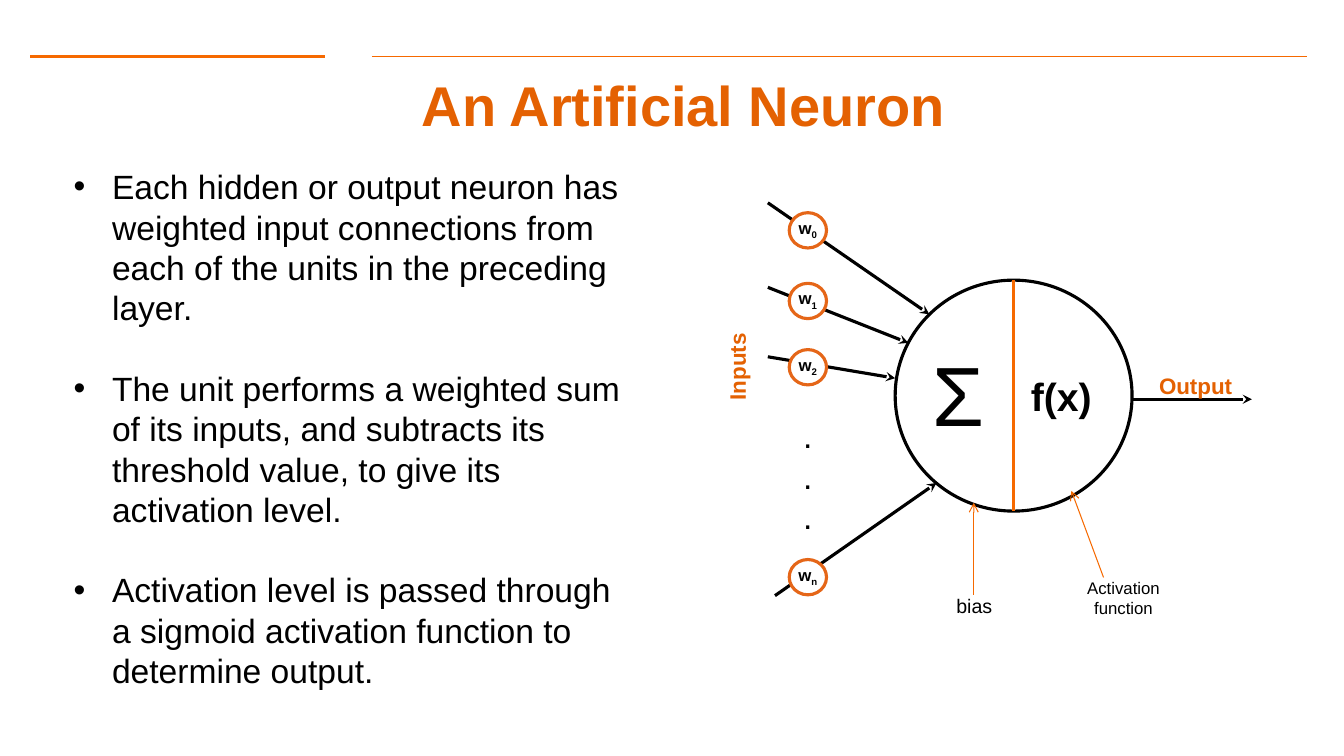
from dataclasses import dataclass

from lxml.etree import SubElement
from pptx import Presentation
from pptx.dml.color import RGBColor as Rgb
from pptx.enum.shapes import MSO_CONNECTOR as Link, MSO_SHAPE as Form
from pptx.enum.text import MSO_ANCHOR as Anchor, MSO_AUTO_SIZE as Auto, PP_ALIGN as Align
from pptx.oxml.ns import qn
from pptx.util import Cm, Pt


@dataclass(frozen=True)
class Theme:
    """Colours, font and type sizes of the slide."""
    black: str = "000000"
    white: str = "FFFFFF"
    accent: str = "F66900"
    head: str = "E46102"
    ring: str = "E56618"
    font: str = "Arial"
    title: int = 40
    body: int = 24
    sum: int = 60
    func: int = 28
    flow: int = 16
    note: int = 14
    small: int = 12
    lead: float = 1.2


THEME = Theme()

POINTS = [
    "Each hidden or output neuron has weighted input connections from each of the units "
    "in the preceding layer.",
    "The unit performs a weighted sum of its inputs, and subtracts its threshold value, "
    "to give its activation level.",
    "Activation level is passed through a sigmoid activation function to determine output.",
]

INPUTS = [
    ("0", 5.36, (19.35, 5.11), (23.42, 7.92)),
    ("1", 7.14, (19.35, 7.24), (22.89, 8.64)),
    ("2", 8.81, (19.35, 8.99), (22.56, 9.53)),
    ("n", 14.1, (19.53, 15.01), (23.6, 12.17)),
]


def place(shape, box):
    """Move a shape to left, top, width, height in centimetres."""
    shape.left, shape.top, shape.width, shape.height = map(Cm, box)


def style(frame, size, color=THEME.black, bold=False, align=Align.LEFT):
    """Format every paragraph and run of a text frame."""
    for para in frame.paragraphs:
        para.alignment = align
        para.line_spacing = Pt(size * THEME.lead)
        para.space_before = para.space_after = Pt(0)
        for run in para.runs:
            run.font.name, run.font.size, run.font.bold = THEME.font, Pt(size), bold
            run.font.color.rgb = Rgb.from_string(color)


def pad(frame, inset):
    """Give a text frame equal insets in centimetres."""
    frame.margin_left = frame.margin_right = Cm(inset)
    frame.margin_top = frame.margin_bottom = Cm(inset)


def line(slide, start, end, color, width, tip=None):
    """Draw a line, with an arrowhead at its end if tip is given."""
    link = slide.shapes.add_connector(Link.STRAIGHT, *map(Cm, (*start, *end)))
    link.line.color.rgb = Rgb.from_string(color)
    link.line.width = Pt(width)
    props = link._element.spPr
    if tip:
        SubElement(props.find(qn("a:ln")), qn("a:tailEnd"), type=tip)
    SubElement(props, qn("a:effectLst"))


def oval(slide, box, color, fill=None):
    """Draw an outlined ellipse."""
    shape = slide.shapes.add_shape(Form.OVAL, *map(Cm, box))
    shape.shadow.inherit = False
    shape.line.color.rgb = Rgb.from_string(color)
    shape.line.width = Pt(2.25)
    if fill:
        shape.fill.solid()
        shape.fill.fore_color.rgb = Rgb.from_string(fill)
    else:
        shape.fill.background()
    return shape


def label(slide, text, box, size, wrap=False, **look):
    """Add a text box with one style."""
    shape = slide.shapes.add_textbox(*map(Cm, box))
    frame = shape.text_frame
    frame.text = text
    frame.word_wrap = wrap
    style(frame, size, **look)
    return shape


def weight(slide, index, top):
    """Draw a weight circle with its subscript."""
    frame = oval(slide, (19.89, top, 0.94, 0.89), THEME.ring, THEME.white).text_frame
    frame.text = "w"
    sub = frame.paragraphs[0].add_run()
    sub.text = index
    frame.word_wrap = False
    frame.vertical_anchor = Anchor.MIDDLE
    pad(frame, 0)
    style(frame, THEME.small, bold=True, align=Align.CENTER)
    sub._r.get_or_add_rPr().set("baseline", "-25000")


def title(slide, text):
    """Fill the title placeholder."""
    shape = slide.shapes.title
    place(shape, (1.98, 1.93, 30.48, 1.4))
    frame = shape.text_frame
    frame.text = text
    frame.auto_size = Auto.NONE
    frame.vertical_anchor = Anchor.MIDDLE
    pad(frame, 0.33)
    style(frame, THEME.title, THEME.head, True, Align.CENTER)


def bullets(slide, points):
    """Fill the body placeholder with a spaced list."""
    shape = slide.placeholders[1]
    place(shape, (1.6, 4.06, 14.53, 13.94))
    frame = shape.text_frame
    frame.text = "\n".join(points)
    frame.auto_size = Auto.NONE
    for para in frame.paragraphs:
        props = para._p.get_or_add_pPr()
        props.set("marL", str(Cm(0.97)))
        props.set("indent", str(-Cm(0.97)))
        SubElement(props, qn("a:buFont"), typeface=THEME.font)
        SubElement(props, qn("a:buChar"), char="•")
    style(frame, THEME.body)
    for para in frame.paragraphs[1:]:
        para.space_before = Pt(THEME.body * THEME.lead)


def neuron(slide):
    """Draw the neuron with its inputs, weights and output."""
    flow = dict(color=THEME.head, bold=True)
    oval(slide, (22.56, 7.06, 5.97, 5.82), THEME.black)
    for index, top, start, end in INPUTS:
        line(slide, start, end, THEME.black, 2.25, "stealth")
        weight(slide, index, top)
    line(slide, (28.55, 10.06), (31.55, 10.06), THEME.black, 2.25, "stealth")
    dots = label(slide, ".\n.\n.", (19.89, 10.72, 0.94, 2.54), THEME.body, align=Align.CENTER)
    dots.text_frame.vertical_anchor = Anchor.MIDDLE
    label(slide, "Inputs", (17.07, 8.36, 3.02, 0.94), THEME.flow, **flow).rotation = 270
    label(slide, "Output", (28.96, 9.25, 3.02, 0.94), THEME.flow, **flow)
    line(slide, (25.55, 7.06), (25.55, 12.88), THEME.accent, 2)
    label(slide, "Σ", (23.24, 8.51, 2.59, 2.82), THEME.sum)
    label(slide, "f(x)", (25.73, 9.25, 2.08, 1.45), THEME.func, bold=True)


def notes(slide):
    """Point out the bias and the activation function."""
    line(slide, (24.54, 14.99), (24.54, 12.67), THEME.accent, 0.75, "arrow")
    line(slide, (27.81, 14.55), (27, 12.37), THEME.accent, 0.75, "arrow")
    label(slide, "bias", (23.85, 14.83, 1.68, 0.86), THEME.note)
    label(slide, "Activation function", (26.59, 14.43, 3.45, 1.27), THEME.small,
          wrap=True, align=Align.CENTER)


def main():
    """Build and save the slide."""
    deck = Presentation()
    deck.slide_width, deck.slide_height = Cm(33.87), Cm(19.05)
    slide = deck.slides.add_slide(deck.slide_layouts[1])
    line(slide, (0.76, 1.42), (8.18, 1.42), THEME.accent, 2)
    line(slide, (9.37, 1.42), (32.94, 1.42), THEME.accent, 1)
    title(slide, "An Artificial Neuron")
    bullets(slide, POINTS)
    neuron(slide)
    notes(slide)
    deck.save("out.pptx")


if __name__ == "__main__":
    main()
